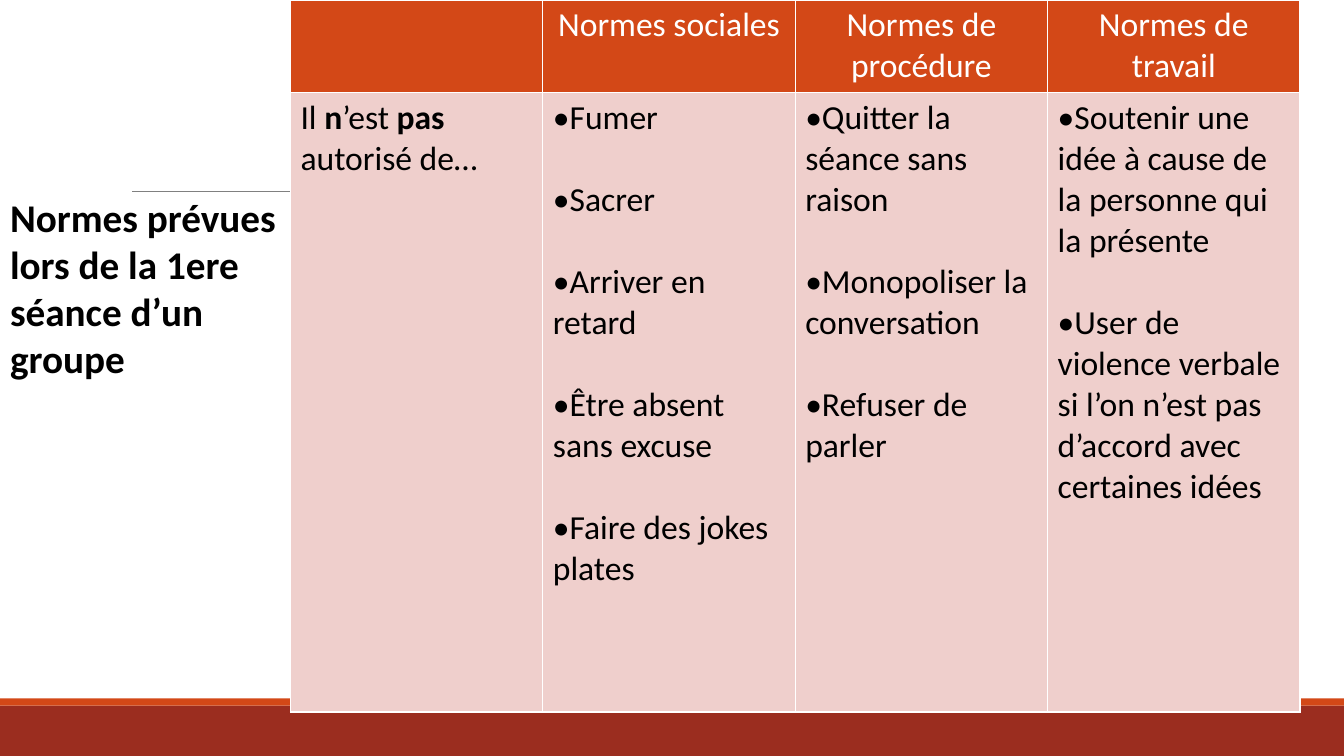
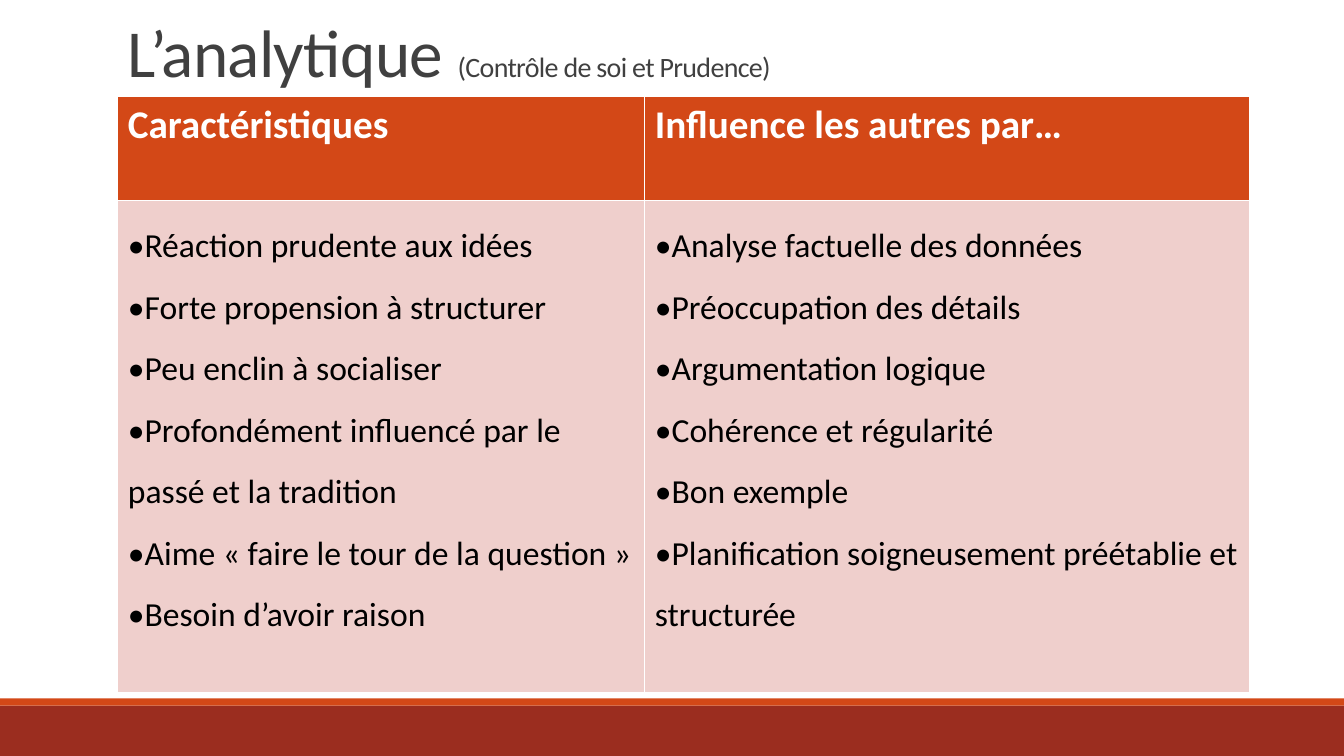
from lxml.etree import SubElement
from pptx import Presentation
from pptx.dml.color import RGBColor
from pptx.enum.shapes import MSO_CONNECTOR as CONN, MSO_SHAPE as SHAPE
from pptx.enum.text import MSO_ANCHOR as ANCHOR, MSO_AUTO_SIZE as FIT, PP_ALIGN as ALIGN
from pptx.oxml import parse_xml
from pptx.oxml.ns import nsdecls, qn
from pptx.util import Cm, Pt

RUST, ORANGE, PINK = "9B2D1F", "D34817", "EFCFCC"
WHITE, BLACK, DARK, GREY = "FFFFFF", "000000", "404040", "808080"
FONT = "Calibri"


def rgb(color):
    return RGBColor.from_string(color)


def add_run(p, text, color, **formats):
    r = p.add_run()
    r.text = text
    r.font.color.rgb = rgb(color)
    for name, value in {"name": FONT, "bold": False, **formats}.items():
        setattr(r.font, name, value)
    return r


slides = [
    {
        "title": [("Normes prévues lors de la 1ere séance d’un groupe", 28)],
        "title_box": (0, 4.75, 7.59, 5.05),
        "title_color": BLACK,
        "title_bold": True,
        "title_anchor": ANCHOR.TOP,
        "title_spacing": 1,
        "tracking": 0,
        "table_at": (7.32, 0),
        "widths": [6.36] * 4,
        "heights": [2.31, 15.62],
        "heading": {"size": Pt(24)},
        "heading_align": ALIGN.CENTER,
        "paragraph": {"space_after": Pt(29.3)},
        "columns": [  # heading, bulleted, items with bold between asterisks
            ("", False, ["Il *n*’est *pas* autorisé de…"]),
            ("Normes sociales", True, [
                "Fumer", "Sacrer", "Arriver en retard",
                "Être absent sans excuse", "Faire des jokes plates"]),
            ("Normes de procédure", True, [
                "Quitter la séance sans raison",
                "Monopoliser la conversation", "Refuser de parler"]),
            ("Normes de travail", True, [
                "Soutenir une idée à cause de la personne qui la présente",
                "User de violence verbale si l’on n’est pas d’accord "
                "avec certaines idées"]),
        ],
    },
    {
        "title": [("L’analytique ", 48), ("(Contrôle de soi et Prudence)", 20)],
        "title_box": (2.97, -1.61, 27.94, 4.03),
        "title_color": DARK,
        "title_bold": False,
        "title_anchor": ANCHOR.BOTTOM,
        "title_spacing": 0.85,
        "tracking": -50,
        "table_at": (2.97, 2.43),
        "widths": [13.28, 15.24],
        "heights": [2.62, 12.4],
        "heading": {"size": Pt(28), "bold": True},
        "heading_align": ALIGN.LEFT,
        "paragraph": {"line_spacing": 1.5},
        "columns": [
            ("Caractéristiques", True, [
                "Réaction prudente aux idées", "Forte propension à structurer",
                "Peu enclin à socialiser",
                "Profondément influencé par le passé et la tradition",
                "Aime « faire le tour de la question »",
                "Besoin d’avoir raison"]),
            ("Influence les autres par…", True, [
                "Analyse factuelle des données", "Préoccupation des détails",
                "Argumentation logique", "Cohérence et régularité",
                "Bon exemple",
                "Planification soigneusement préétablie et structurée"]),
        ],
    },
]

prs = Presentation()
prs.slide_width, prs.slide_height = Cm(33.87), Cm(19.05)
layout = prs.slide_layouts[5]
pages = [prs.slides.add_slide(layout) for _ in slides]

# Bands and rule are drawn on a slide, then moved to the shared layout
shapes = pages[0].shapes
decor = []
for top, height, color in [(17.78, 1.27, RUST), (17.6, 0.18, ORANGE)]:
    band = shapes.add_shape(SHAPE.RECTANGLE, 0, Cm(top), prs.slide_width, Cm(height))
    band.shadow.inherit = False
    band.fill.solid()
    band.fill.fore_color.rgb = rgb(color)
    band.line.fill.background()
    decor.append(band)
rule = shapes.add_connector(CONN.STRAIGHT, Cm(3.33), Cm(4.83), Cm(31.01), Cm(4.83))
rule.line.color.rgb = rgb(GREY)
rule.line.width = Pt(0.5)
SubElement(rule._element.spPr, qn("a:effectLst"))
decor.append(rule)
for sp in decor:
    layout.shapes._spTree.append(sp._element)

for s, data in zip(pages, slides):
    title = s.shapes.title
    for name, value in zip(("left", "top", "width", "height"), data["title_box"]):
        setattr(title, name, Cm(value))
    tf = title.text_frame
    tf.word_wrap = True
    tf.auto_size = FIT.NONE
    tf.vertical_anchor = data["title_anchor"]
    p = tf.paragraphs[0]
    p.alignment = ALIGN.LEFT
    p.line_spacing = data["title_spacing"]
    for text, size in data["title"]:
        r = add_run(p, text, data["title_color"], size=Pt(size), bold=data["title_bold"])
        r._r.get_or_add_rPr().set("spc", str(data["tracking"]))

    widths, heights = data["widths"], data["heights"]
    left, top = data["table_at"]
    table = s.shapes.add_table(2, len(widths), Cm(left), Cm(top),
                               Cm(sum(widths)), Cm(sum(heights))).table
    table.horz_banding = False
    for row, height in zip(table.rows, heights):
        row.height = Cm(height)

    for i, (heading, bulleted, items) in enumerate(data["columns"]):
        table.columns[i].width = Cm(widths[i])
        head, body = table.cell(0, i), table.cell(1, i)
        for cell, color in [(head, ORANGE), (body, PINK)]:
            cell.fill.solid()
            cell.fill.fore_color.rgb = rgb(color)
            for n, side in enumerate("LRTB"):
                cell._tc.get_or_add_tcPr().insert(n, parse_xml(
                    f'<a:ln{side} {nsdecls("a")} w="{Pt(1)}"><a:solidFill>'
                    f'<a:srgbClr val="{WHITE}"/></a:solidFill></a:ln{side}>'))

        if heading:
            p = head.text_frame.paragraphs[0]
            p.alignment = data["heading_align"]
            add_run(p, heading, WHITE, **data["heading"])

        tf = body.text_frame
        for n, item in enumerate(items):
            p = tf.add_paragraph() if n else tf.paragraphs[0]
            for name, value in data["paragraph"].items():
                setattr(p, name, value)
            if bulleted:
                pPr = p._p.get_or_add_pPr()
                SubElement(pPr, qn("a:buFont"), typeface=FONT)
                SubElement(pPr, qn("a:buChar"), char="•")
            for k, text in enumerate(item.split("*")):
                add_run(p, text, BLACK, size=Pt(24), bold=k % 2 == 1)

prs.save("out.pptx")
